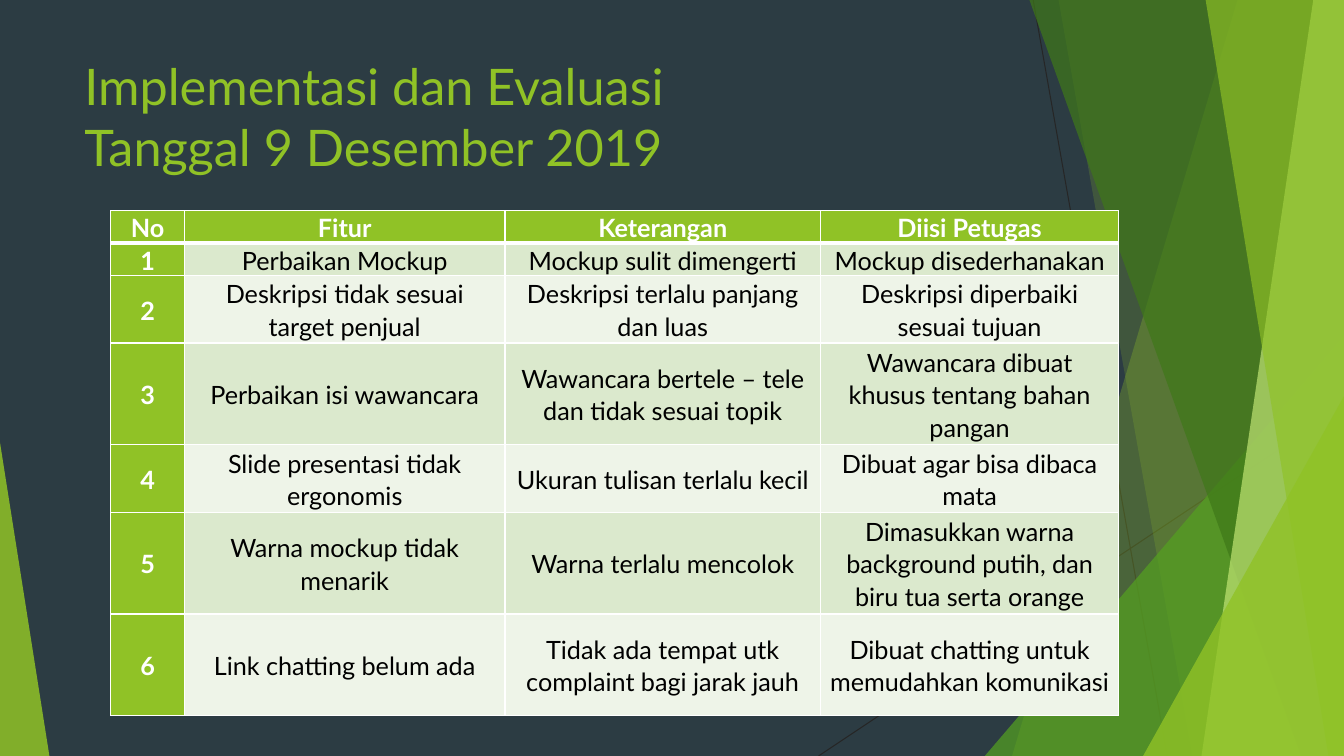
"""Builds the slide on implementation and evaluation, 9 December 2019."""
import pptx
import pptx.dml.color
import pptx.enum.shapes
import pptx.enum.text
import pptx.oxml
import pptx.oxml.ns
import pptx.util

Pt = pptx.util.Pt
RGBColor = pptx.dml.color.RGBColor
qn = pptx.oxml.ns.qn
SubElement = pptx.oxml.xmlchemy.OxmlElement
ALIGN = pptx.enum.text.PP_ALIGN
ANCHOR = pptx.enum.text.MSO_ANCHOR

SLATE = RGBColor(0x2C, 0x3C, 0x43)
LINE = RGBColor(0x26, 0x26, 0x26)
LIME = RGBColor(0x90, 0xC2, 0x26)
GREEN = RGBColor(0x54, 0xA0, 0x21)
FOREST = RGBColor(0x3F, 0x78, 0x19)
PALE = RGBColor(0xC0, 0xE4, 0x74)
BAND_DARK = RGBColor(0xDB, 0xE9, 0xCD)
BAND_LIGHT = RGBColor(0xEE, 0xF4, 0xE8)
WHITE = RGBColor(0xFF, 0xFF, 0xFF)
BLACK = RGBColor(0x00, 0x00, 0x00)

WIDTH, HEIGHT = 960, 540
BAND_TOP = -0.6

COLUMNS = [52.56, 228.96, 225.36, 213.12]
ROW_HEIGHTS = [23.04, 23.04, 48.24, 72.72, 48.24, 72.72, 72.72]
ROWS = [
    ("No", "Fitur", "Keterangan", "Diisi Petugas"),
    ("1", "Perbaikan Mockup", "Mockup sulit dimengerti", "Mockup disederhanakan"),
    ("2", "Deskripsi tidak sesuai target penjual",
     "Deskripsi terlalu panjang dan luas", "Deskripsi diperbaiki sesuai tujuan"),
    ("3", "Perbaikan isi wawancara", "Wawancara bertele – tele dan tidak sesuai topik",
     "Wawancara dibuat khusus tentang bahan pangan"),
    ("4", "Slide presentasi tidak ergonomis", "Ukuran tulisan terlalu kecil",
     "Dibuat agar bisa dibaca mata"),
    ("5", "Warna mockup tidak menarik", "Warna terlalu mencolok",
     "Dimasukkan warna background putih, dan biru tua serta orange"),
    ("6", "Link chatting belum ada", "Tidak ada tempat utk complaint bagi jarak jauh",
     "Dibuat chatting untuk memudahkan komunikasi"),
]


def write(tf, text, font="Lato", size=18, color=BLACK, bold=False,
          align=ALIGN.LEFT, spacing=1.0):
    """Write text with the given format into a text frame."""
    tf.word_wrap = True
    p = tf.paragraphs[0]
    p.alignment = align
    p.line_spacing = spacing
    for i, line in enumerate(text.split("\n")):
        if i:
            p.add_line_break()
        r = p.add_run()
        r.text = line
        r.font.name = font
        r.font.size = Pt(size)
        r.font.bold = bold
        r.font.color.rgb = color


class Deck:
    """Holds the style and the current slide."""

    def __init__(self):
        """Start a presentation with one blank slide."""
        self.prs = pptx.Presentation()
        self.prs.slide_width, self.prs.slide_height = Pt(WIDTH), Pt(HEIGHT)
        self.s = self.prs.slides.add_slide(self.prs.slide_layouts[6])
        self.s.background.fill.solid()
        self.s.background.fill.fore_color.rgb = SLATE

    def line(self, x1, y1, x2, y2):
        """Draw a thin dark line."""
        c = self.s.shapes.add_connector(
            pptx.enum.shapes.MSO_CONNECTOR.STRAIGHT, Pt(x1), Pt(y1), Pt(x2), Pt(y2))
        c.line.color.rgb = LINE
        c.line.width = Pt(0.75)
        c.element.spPr.append(SubElement("a:effectLst"))

    def paint(self, sp, color, opacity):
        """Fill a shape with a translucent colour and no outline."""
        sp.shadow.inherit = False
        sp.line.fill.background()
        sp.fill.solid()
        sp.fill.fore_color.rgb = color
        alpha = SubElement("a:alpha")
        alpha.set("val", str(opacity * 1000))
        sp.element.spPr.find(qn("a:solidFill"))[0].append(alpha)

    def band(self, top_x, bottom_x, color, opacity):
        """Draw a slanted band that reaches the right edge."""
        fb = self.s.shapes.build_freeform(Pt(top_x), Pt(BAND_TOP))
        fb.add_line_segments([(Pt(WIDTH), Pt(BAND_TOP)), (Pt(WIDTH), Pt(HEIGHT)),
                              (Pt(bottom_x), Pt(HEIGHT))], close=True)
        self.paint(fb.convert_to_shape(), color, opacity)

    def triangle(self, x, w, h, apex, color, opacity):
        """Draw a triangle standing on the bottom edge."""
        sp = self.s.shapes.add_shape(
            pptx.enum.shapes.MSO_SHAPE.ISOSCELES_TRIANGLE,
            Pt(x), Pt(HEIGHT - h), Pt(w), Pt(h))
        sp.adjustments[0] = apex
        self.paint(sp, color, opacity)

    def title(self, text, x, y, w, h):
        """Add the slide title."""
        tf = self.s.shapes.add_textbox(Pt(x), Pt(y), Pt(w), Pt(h)).text_frame
        write(tf, text, size=36, color=LIME)

    def border(self, cell, side, width):
        """Give one side of a cell a white border."""
        ln = SubElement(f"a:ln{side}")
        ln.set("w", str(Pt(width)))
        fill = SubElement("a:solidFill")
        clr = SubElement("a:srgbClr")
        clr.set("val", str(WHITE))
        fill.append(clr)
        ln.append(fill)
        cell._tc.get_or_add_tcPr().append(ln)

    def cell(self, cell, text, i, j):
        """Format the cell in row i and column j."""
        head = i == 0 or j == 0
        for side in "LRTB":
            thick = (i, side) in ((0, "B"), (1, "T"))
            self.border(cell, side, 3 if thick else 1)
        cell.fill.solid()
        cell.fill.fore_color.rgb = LIME if head else BAND_DARK if i % 2 else BAND_LIGHT
        cell.margin_left = cell.margin_right = Pt(5)
        cell.margin_top = cell.margin_bottom = 0
        cell.vertical_anchor = ANCHOR.MIDDLE
        write(cell.text_frame, text, color=WHITE if head else BLACK, bold=head,
              align=ALIGN.CENTER, spacing=1.07)

    def table(self, x, y, rows, columns, heights):
        """Add the table of features."""
        t = self.s.shapes.add_table(len(rows), len(columns), Pt(x), Pt(y),
                                    Pt(sum(columns)), Pt(sum(heights))).table
        for column, w in zip(t.columns, columns):
            column.width = Pt(w)
        for i, (row, h) in enumerate(zip(rows, heights)):
            t.rows[i].height = Pt(h)
            for j, text in enumerate(row):
                self.cell(t.cell(i, j), text, i, j)


def main():
    """Build and save the slide."""
    d = Deck()
    d.line(738, 0, 833.76, HEIGHT)
    d.line(WIDTH, 290.16, 584.64, HEIGHT)
    d.band(884.16, 722.88, LIME, 30)
    d.band(756, 851.76, LIME, 20)
    d.triangle(703.44, 256.56, 300.24, 1, GREEN, 72)
    d.band(735.12, 929.52, FOREST, 70)
    d.band(938.16, 858.24, PALE, 70)
    d.band(861.12, 948.96, LIME, 65)
    d.triangle(816.48, 143.52, 257.04, 1, LIME, 80)
    d.triangle(0, 35.28, 223.92, 0, LIME, 85)
    d.title("Implementasi dan Evaluasi\nTanggal 9 Desember 2019", 53.28, 36, 676.8, 103.68)
    d.table(79.2, 150.48, ROWS, COLUMNS, ROW_HEIGHTS)
    d.prs.save("out.pptx")


if __name__ == "__main__":
    main()
